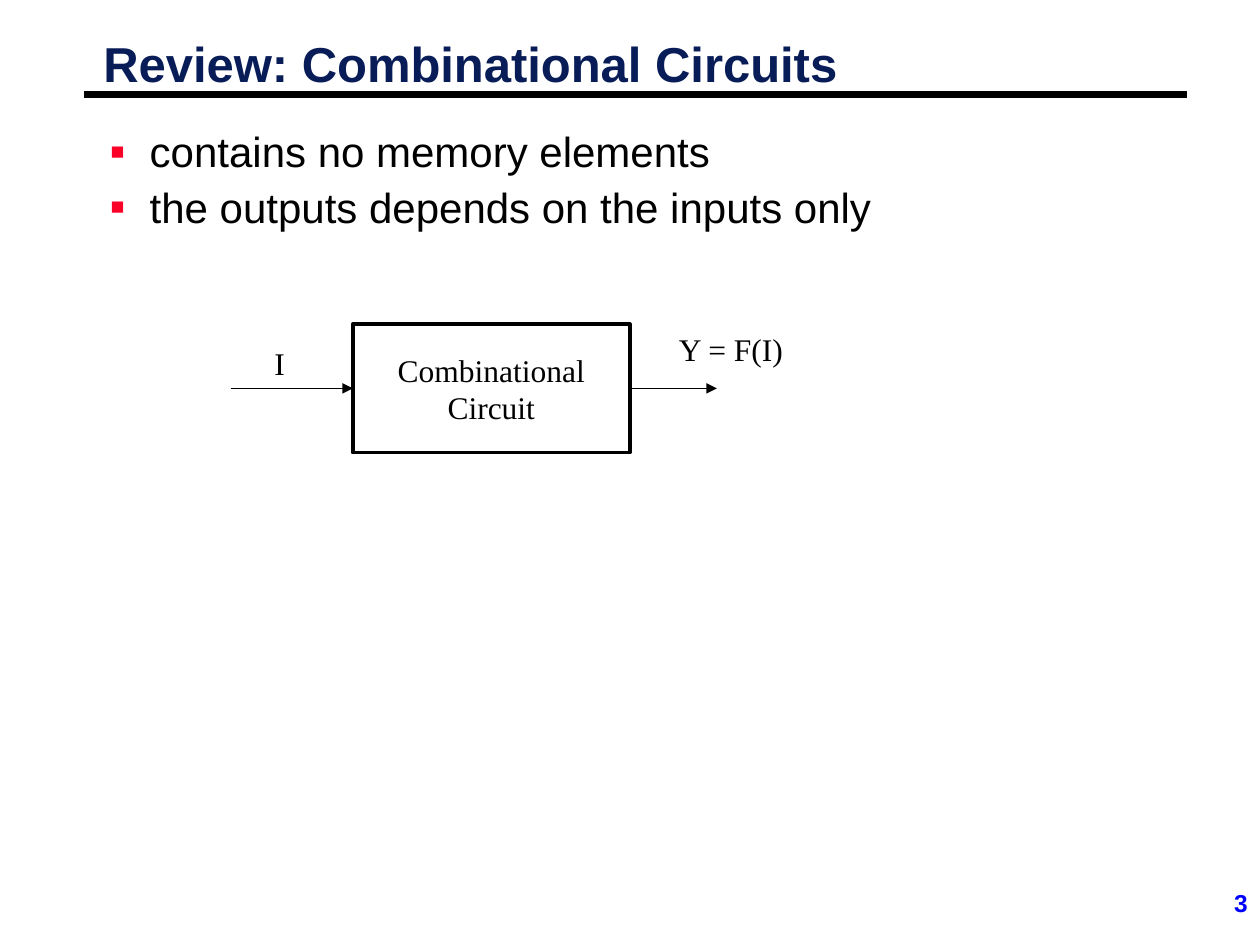
import dataclasses
import pptx
import pptx.dml.color
import pptx.enum.shapes
import pptx.enum.text
import pptx.oxml
import pptx.oxml.ns
import pptx.util
from lxml import etree

WIDE, HIGH = 10, 7.5
COLORS = {"black": "000000", "navy": "081D58", "red": "FC0128", "blue": "0000FF"}
ALIGN = pptx.enum.text.PP_ALIGN
ANCHOR = pptx.enum.text.MSO_ANCHOR
NS = pptx.oxml.ns.qn


@dataclasses.dataclass
class Label:
    """A text box; place holds left, top, width, height as slide shares."""
    text: str
    place: tuple
    size: float
    font: str = "Arial"
    color: str = "black"
    bold: bool = False
    align: ALIGN = ALIGN.LEFT
    space: float = 1.0
    pad: tuple = (0.1, 0.05)
    wrap: bool = True
    before: float = 0
    bullet: bool = False


@dataclasses.dataclass
class Wire:
    """A level line; start, end and row are slide shares."""
    start: float
    end: float
    row: float
    width: float
    arrow: bool = False


def across(share: float) -> int:
    return pptx.util.Inches(share * WIDE)


def down(share: float) -> int:
    return pptx.util.Inches(share * HIGH)


def frame(place: tuple) -> tuple:
    left, top, width, height = place
    return across(left), down(top), across(width), down(height)


def tint(name: str) -> pptx.dml.color.RGBColor:
    return pptx.dml.color.RGBColor.from_string(COLORS[name])


def add_bullet(para) -> None:
    props = para._p.get_or_add_pPr()
    props.set("marL", str(pptx.util.Inches(0.81)))
    props.set("indent", str(pptx.util.Inches(-0.31)))
    shade = etree.SubElement(props, NS("a:buClr"))
    etree.SubElement(shade, NS("a:srgbClr"), val=COLORS["red"])
    etree.SubElement(props, NS("a:buSzPct"), val="55000")
    etree.SubElement(props, NS("a:buFont"), typeface="Arial")
    etree.SubElement(props, NS("a:buChar"), char="■")


def fill_text(shape, label: Label) -> None:
    body = shape.text_frame
    body.text = label.text
    body.word_wrap = label.wrap
    body.margin_left = body.margin_right = pptx.util.Inches(label.pad[0])
    body.margin_top = body.margin_bottom = pptx.util.Inches(label.pad[1])
    for index, para in enumerate(body.paragraphs):
        if label.bullet:
            add_bullet(para)
        para.alignment = label.align
        para.line_spacing = label.space
        if index and label.before:
            para.space_before = pptx.util.Pt(label.before)
        for run in para.runs:
            run.font.name = label.font
            run.font.size = pptx.util.Pt(label.size)
            run.font.bold = label.bold
            run.font.color.rgb = tint(label.color)


def add_label(slide, label: Label) -> None:
    fill_text(slide.shapes.add_textbox(*frame(label.place)), label)


def add_block(slide, label: Label) -> None:
    kind = pptx.enum.shapes.MSO_SHAPE.RECTANGLE
    block = slide.shapes.add_shape(kind, *frame(label.place))
    block.shadow.inherit = False
    block.fill.background()
    block.line.color.rgb = tint("black")
    block.line.width = pptx.util.Pt(2)
    fill_text(block, label)
    block.text_frame.vertical_anchor = ANCHOR.MIDDLE


def add_wire(slide, wire: Wire) -> None:
    kind = pptx.enum.shapes.MSO_CONNECTOR.STRAIGHT
    row = down(wire.row)
    line = slide.shapes.add_connector(kind, across(wire.start), row, across(wire.end), row)
    line.line.color.rgb = tint("black")
    line.line.width = pptx.util.Pt(wire.width)
    if wire.arrow:
        etree.SubElement(line.line._get_or_add_ln(), NS("a:tailEnd"), type="triangle")
    etree.SubElement(line._element.spPr, NS("a:effectLst"))


def main() -> None:
    deck = pptx.Presentation()
    deck.slide_width, deck.slide_height = across(1), down(1)
    slide = deck.slides.add_slide(deck.slide_layouts[6])
    serif = "Times New Roman"

    # Title above its rule
    add_wire(slide, Wire(0.067, 0.942, 0.1, 4.5))
    add_label(slide, Label("Review: Combinational Circuits", (0.075, 0.04, 0.604, 0.063), 28,
                           color="navy", bold=True, space=0.87, pad=(0.07, 0.03), wrap=False))

    # Bullets and page number
    points = "contains no memory elements\nthe outputs depends on the inputs only"
    add_label(slide, Label(points, (0.028, 0.132, 0.879, 0.157), 24,
                           space=0.9, before=6, bullet=True))
    add_label(slide, Label("3", (0.792, 0.933, 0.208, 0.067), 14,
                           color="blue", bold=True, align=ALIGN.RIGHT))

    # Circuit block with wires joined at its middle
    left, top, width, height = place = (0.28, 0.343, 0.22, 0.136)
    middle = top + height / 2
    add_block(slide, Label("Combinational Circuit", place, 18, serif, align=ALIGN.CENTER))
    for start, end in ((0.183, left), (left + width, 0.569)):
        add_wire(slide, Wire(start, end, middle, 0.75, True))

    # Signal names
    for text, spot in (("I", (0.208, 0.357, 0.047, 0.053)),
                       ("Y = F(I)", (0.529, 0.343, 0.136, 0.053))):
        add_label(slide, Label(text, spot, 18, serif))

    deck.save("out.pptx")


if __name__ == "__main__":
    main()
